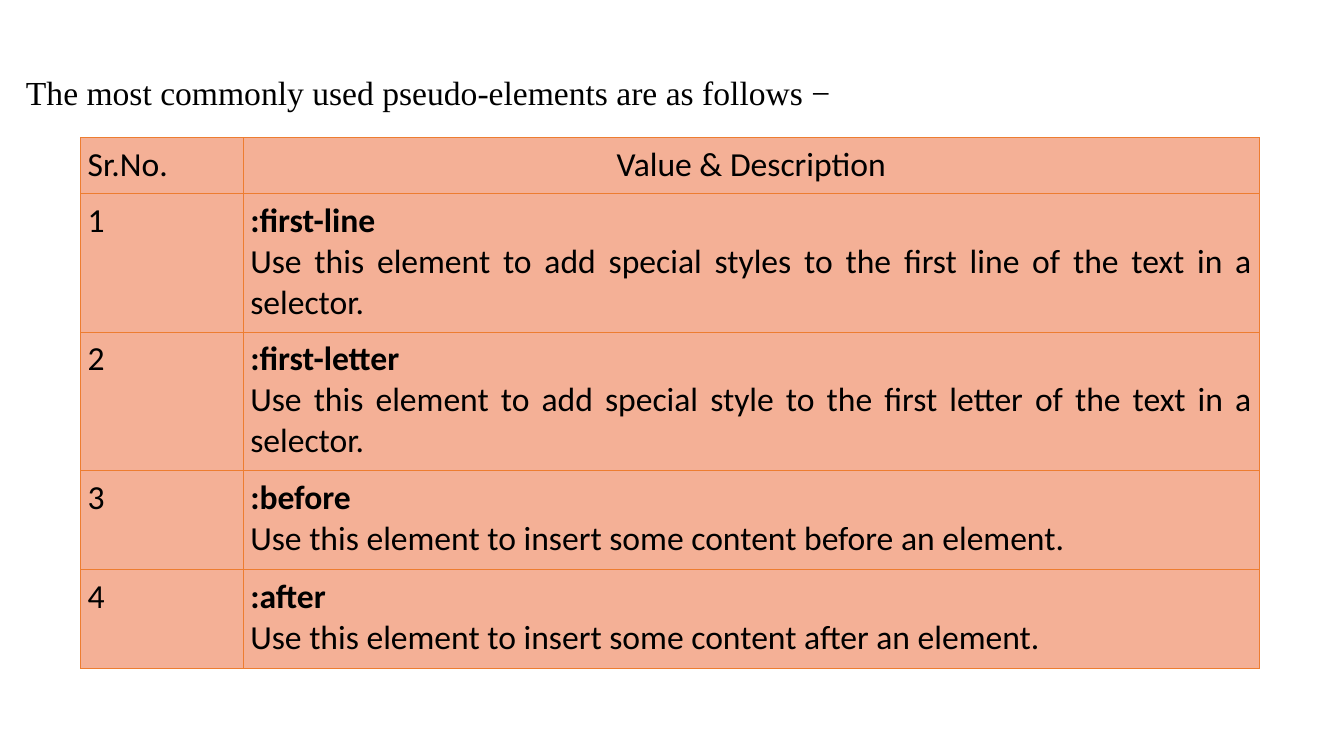
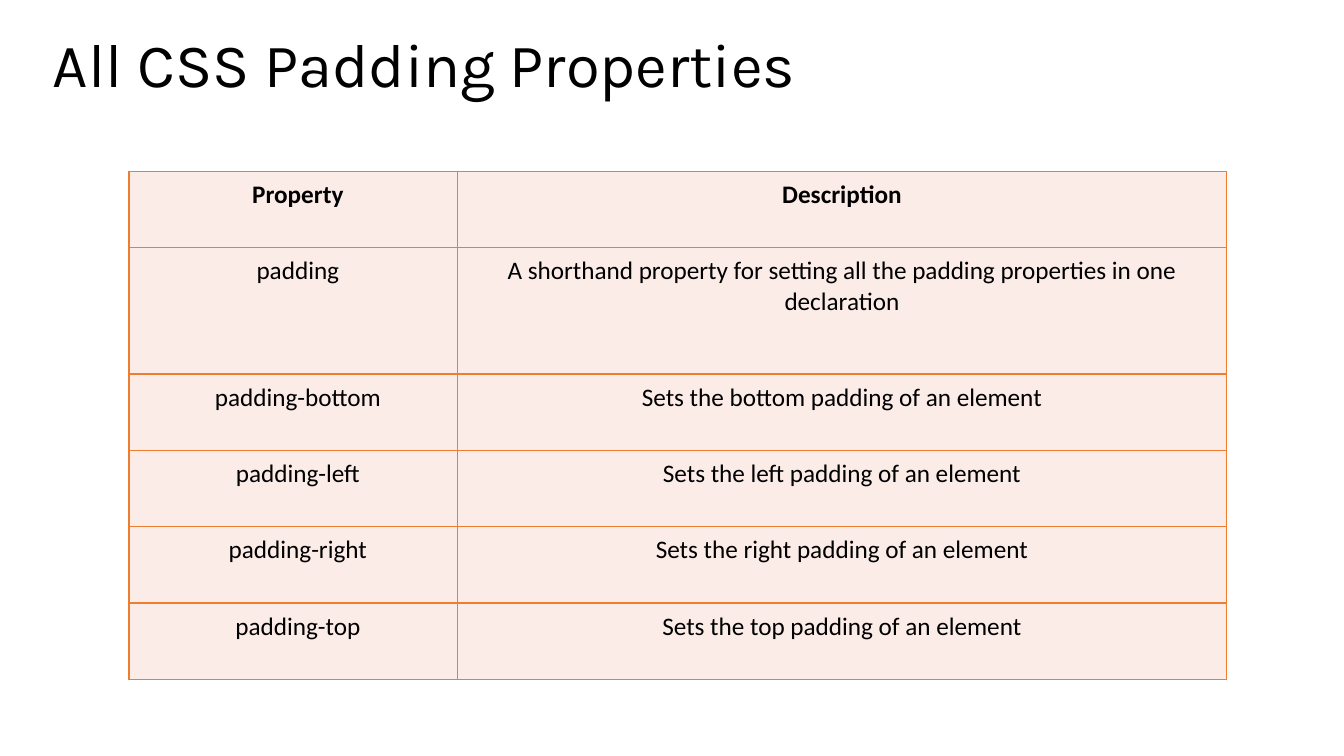
from dataclasses import dataclass

from lxml.etree import SubElement
from pptx import Presentation
from pptx.dml.color import RGBColor as Color
from pptx.enum.text import MSO_ANCHOR as Anchor, PP_ALIGN as Align
from pptx.oxml.ns import qn
from pptx.util import Inches, Pt


@dataclass(frozen=True)
class Theme:
    ink: str = "000000"
    border: str = "ED7D31"
    salmon: str = "F4B096"
    blush: str = "FCECE8"
    body_font: str = "Calibri"
    lead_font: str = "Times New Roman"
    title_font: str = "Karla"
    title_size: int = 44
    lead_size: int = 24
    small_size: int = 18
    title_spacing: float = 0.9


THEME = Theme()
WIDTH, HEIGHT = Inches(13.333), Inches(7.5)

# Each description is a list of (text, bold) paragraphs
PSEUDO_ELEMENTS = [
    (":first-line", "Use this element to add special styles to the first line of the text in a selector."),
    (":first-letter", "Use this element to add special style to the first letter of the text in a selector."),
    (":before", "Use this element to insert some content before an element."),
    (":after", "Use this element to insert some content after an element."),
]
SIDES = ["bottom", "left", "right", "top"]


# Lengths are percentages of the slide's width and height
def across(share):
    return int(WIDTH * share / 100)


def down(share):
    return int(HEIGHT * share / 100)


def add_span(para, text, font, size, bold=False):
    span = para.add_run()
    span.text = text
    span.font.name = font
    span.font.size = Pt(size)
    span.font.bold = bold
    span.font.color.rgb = Color.from_string(THEME.ink)


def add_title(page, text, left, top, width, height, font, size):
    box = page.shapes.add_textbox(across(left), down(top), across(width), down(height))
    frame = box.text_frame
    frame.word_wrap = True
    frame.vertical_anchor = Anchor.MIDDLE
    para = frame.paragraphs[0]
    para.line_spacing = THEME.title_spacing
    add_span(para, text, font, size)


def set_borders(cell, weight):
    properties = cell._tc.get_or_add_tcPr()
    for position, side in enumerate(("lnL", "lnR", "lnT", "lnB")):
        line = SubElement(properties, qn(f"a:{side}"), w=str(Pt(weight)))
        fill = SubElement(line, qn("a:solidFill"))
        SubElement(fill, qn("a:srgbClr"), val=THEME.border)
        properties.insert(position, line)  # borders precede the fill


def fill_cell(cell, paragraphs, align, size, insets):
    cell.margin_left, cell.margin_right, cell.margin_top, cell.margin_bottom = map(Inches, insets)
    frame = cell.text_frame
    for index, (text, bold) in enumerate(paragraphs):
        para = frame.add_paragraph() if index else frame.paragraphs[0]
        para.alignment = align
        add_span(para, text, THEME.body_font, size, bold)


def add_grid(page, left, top, columns, rows, content, aligns, insets, fill, size, weight):
    """Draw a table; aligns(row) and insets hold one entry per column."""
    grid = page.shapes.add_table(
        len(rows), len(columns), across(left), down(top), across(sum(columns)), down(sum(rows))
    ).table
    grid.first_row = grid.horz_banding = False
    for column, share in zip(grid.columns, columns):
        column.width = across(share)
    for row, share in zip(grid.rows, rows):
        row.height = down(share)
    for r, entries in enumerate(content):
        for c, paragraphs in enumerate(entries):
            cell = grid.cell(r, c)
            cell.fill.solid()
            cell.fill.fore_color.rgb = Color.from_string(fill)
            set_borders(cell, weight)
            fill_cell(cell, paragraphs, aligns(r)[c], size, insets[c])


def build_pseudo_elements(page):
    add_title(page, "The most commonly used pseudo-elements are as follows −",
              1.2, 5.33, 97.88, 14.4, THEME.lead_font, THEME.lead_size)
    content = [[[("Sr.No.", False)], [("Value & Description", False)]]]
    for number, (name, use) in enumerate(PSEUDO_ELEMENTS, 1):
        content.append([[(str(number), False)], [(name, True), (use, False)]])
    add_grid(page, 6, 18.2, [12.1, 75.6], [7.4] + [18.3] * 2 + [13.1] * 2, content,
             lambda row: (Align.LEFT, Align.JUSTIFY if row else Align.CENTER),
             [(0.07,) * 4] * 2, THEME.salmon, THEME.lead_size, 0.5)


def build_padding(page):
    add_title(page, "All CSS Padding Properties",
              3.2, 3.6, 86.25, 10.7, THEME.title_font, THEME.title_size)
    pairs = [("Property", "Description"),
             ("padding", "A shorthand property for setting all the padding properties in one declaration")]
    pairs += [(f"padding-{side}", f"Sets the {side} padding of an element") for side in SIDES]
    content = [[[(text, row == 0)] for text in pair] for row, pair in enumerate(pairs)]
    add_grid(page, 9.6, 22.67, [24.45, 57.2], [10.1, 16.7] + [10.1] * 4, content,
             lambda row: (Align.CENTER, Align.CENTER),
             [(0.17, 0.08, 0.08, 0.08), (0.08,) * 4], THEME.blush, THEME.small_size, 1)


def main():
    deck = Presentation()
    deck.slide_width, deck.slide_height = WIDTH, HEIGHT
    blank = deck.slide_layouts[6]
    for build in (build_pseudo_elements, build_padding):
        build(deck.slides.add_slide(blank))
    deck.save("out.pptx")


if __name__ == "__main__":
    main()
